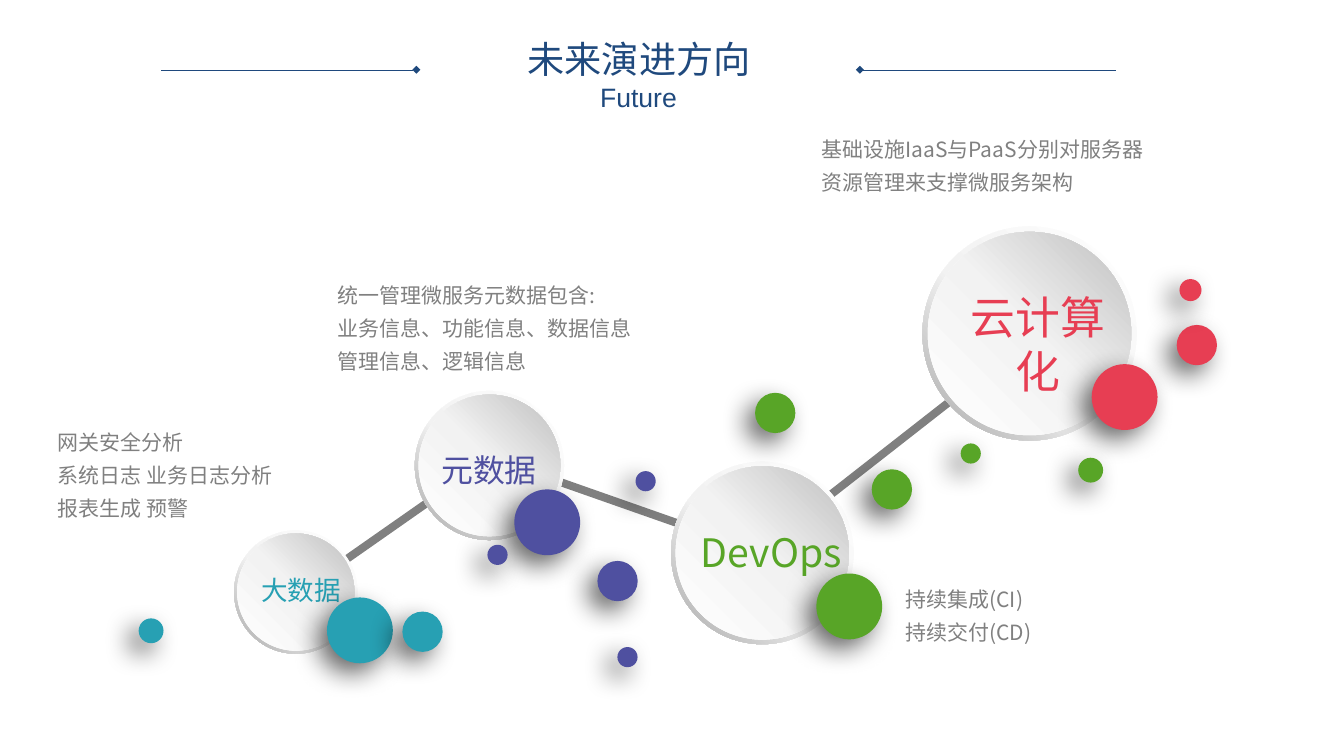
from dataclasses import dataclass

from lxml.etree import SubElement
from pptx import Presentation
from pptx.dml.color import RGBColor as RGB
from pptx.enum.shapes import MSO_CONNECTOR as CONN, MSO_SHAPE as SHAPE
from pptx.enum.text import MSO_ANCHOR as ANCHOR, MSO_AUTO_SIZE as FIT, PP_ALIGN as ALIGN
from pptx.oxml import parse_xml
from pptx.oxml.ns import nsdecls, qn
from pptx.util import Inches, Pt


@dataclass(frozen=True)
class Theme:
    navy: str = "1F497D"
    gray: str = "808080"
    teal: str = "27A0B3"
    purple: str = "4F50A0"
    green: str = "58A527"
    red: str = "E73E53"
    rim: tuple = ((0, "FFFFFF"), (55, "F2F2F2"), (100, "A6A6A6"))
    face: tuple = ((0, "FFFFFF"), (51, "F2F2F2"), (100, "BFBFBF"))
    head_font: str = "Arial"
    font: str = "Noto Sans CJK SC"
    title: float = 28
    subtitle: float = 20
    note: float = 15.8


T = Theme()
WIDTH, HEIGHT = Inches(14.06), Inches(7.91)
CELL = WIDTH / 100
AXIS, RULE_ROW, RULE_INNER, RULE_OUTER = 47.48, 5.19, 16.5, 35.52
FACE_SHARE = 0.95
BIG, MID, SMALL, TINY = 4.9, 3, 1.85, 1.5

# centre, diameter, joint, label lines, label box centre and size, type size, colour
NODES = [
    ((22.01, 44.06), 9.18, (21.83, 44.38), ["大数据"], (22.4, 43.95, 8.1, 3.13), 20, T.teal),
    ((36.42, 34.64), 11.1, (36.56, 34.07), ["元数据"], (36.38, 34.99, 8.6, 3.56), 24, T.purple),
    ((56.72, 41.15), 13.58, (56.4, 41.04), ["DevOps"], (57.4, 41.11, 12.5, 4.27), 29.5, T.green),
    ((76.6, 24.82), 15.93, (76.32, 25.46), ["云计算", "化"], (77.24, 25.6, 11.5, 8.82), 33.8, T.red),
]
NOTES = [
    (24.11, 19.99, 8.39, ["统一管理微服务元数据包含:", "业务信息、功能信息、数据信息", "管理信息、逻辑信息"]),
    (3.27, 30.94, 8.39, ["网关安全分析", "系统日志 业务日志分析", "报表生成 预警"]),
    (66.36, 42.6, 5.9, ["持续集成(CI)", "持续交付(CD)"]),
    (60.1, 9.1, 5.9, ["基础设施IaaS与PaaS分别对服务器资源管理来支撑微服务架构"]),
]
DOTS = {
    T.teal: [(26.78, 46.91, BIG), (31.44, 47.01, MID), (11.24, 46.94, SMALL)],
    T.purple: [(40.72, 38.87, BIG), (48.04, 35.81, TINY), (45.95, 43.24, MID),
               (46.69, 48.9, TINY), (37.02, 41.29, TINY)],
    T.green: [(63.19, 45.13, BIG), (66.36, 36.42, MID), (81.15, 34.99, SMALL),
              (72.23, 33.75, TINY), (57.68, 30.73, MID)],
    T.red: [(83.68, 29.55, BIG), (89.05, 25.68, MID), (88.58, 21.59, 1.64)],
}


def cells(*counts):
    return [round(n * CELL) for n in counts]


def centred(x, y, w, h):
    return cells(x - w / 2, y - h / 2, w, h)


def place(sp, x, y, w, h):
    sp.left, sp.top, sp.width, sp.height = cells(x, y, w, h)


def write(sp, lines, size, color, font, align, anchor, wrap=True,
          spacing=None, before=0, inset=None):
    tf = sp.text_frame
    tf.auto_size, tf.word_wrap, tf.vertical_anchor = FIT.NONE, wrap, anchor
    if inset:
        tf.margin_left, tf.margin_top = tf.margin_right, tf.margin_bottom = cells(*inset)
    for i, line in enumerate(lines):
        p = tf.add_paragraph() if i else tf.paragraphs[0]
        p.alignment, p.line_spacing, p.space_before = align, spacing, Pt(before)
        pPr = p._p.get_or_add_pPr()
        pPr.set("marL", "0")
        pPr.set("indent", "0")
        SubElement(pPr, qn("a:buNone"))
        r = p.add_run()
        r.text = line
        r.font.size, r.font.name, r.font.bold = Pt(size), font, False
        r.font.color.rgb = RGB.from_string(color)
        ea = SubElement(r._r.get_or_add_rPr(), qn("a:ea"))
        ea.set("typeface", T.font)


def add_line(s, start, end, color, width, diamond=False):
    line = s.shapes.add_connector(CONN.STRAIGHT, *cells(*start, *end))
    line.line.color.rgb = RGB.from_string(color)
    line.line.width = Pt(width)
    if diamond:
        SubElement(line.line._get_or_add_ln(), qn("a:headEnd")).set("type", "diamond")
    SubElement(line._element.spPr, qn("a:effectLst"))


def add_round(shapes, kind, x, y, size):
    sp = shapes.add_shape(kind, *centred(x, y, size, size))
    sp.line.fill.background()
    sp.shadow.inherit = False
    return sp


def shade(sp, stops, angle):
    marks = "".join(f'<a:gs pos="{pos * 1000}"><a:srgbClr val="{color}"/></a:gs>'
                    for pos, color in stops)
    grad = parse_xml(f'<a:gradFill {nsdecls("a")} rotWithShape="1"><a:gsLst>{marks}</a:gsLst>'
                     f'<a:lin ang="{angle * 60000}" scaled="0"/></a:gradFill>')
    sp._element.spPr.find(qn("a:prstGeom")).addnext(grad)


def add_node(s, centre, size, lines, box, type_size, color):
    shapes = s.shapes.add_group_shape().shapes
    rim = add_round(shapes, SHAPE.DONUT, *centre, size)
    rim.adjustments[0] = 0.049
    shade(rim, T.rim, 135)
    shade(add_round(shapes, SHAPE.OVAL, *centre, size * FACE_SHARE), T.face, 315)
    label = shapes.add_textbox(*centred(*box))
    write(label, lines, type_size, color, T.font, ALIGN.CENTER, ANCHOR.TOP, wrap=False)


def add_dot(s, x, y, size, color):
    sp = add_round(s.shapes, SHAPE.OVAL, x, y, size)
    sp.fill.solid()
    sp.fill.fore_color.rgb = RGB.from_string(color)
    sp._element.spPr.find(qn("a:effectLst")).append(parse_xml(
        f'<a:outerShdw {nsdecls("a")} blurRad="{Pt(20)}" dist="{Pt(10)}" dir="8100000" '
        'rotWithShape="0"><a:srgbClr val="000000"><a:alpha val="60000"/></a:srgbClr>'
        '</a:outerShdw>'))


def add_heading(s):
    for side in (-1, 1):
        add_line(s, (AXIS + side * RULE_INNER, RULE_ROW), (AXIS + side * RULE_OUTER, RULE_ROW),
                 T.navy, 0.25, diamond=True)
    style = (T.navy, T.head_font, ALIGN.CENTER, ANCHOR.MIDDLE, True, 0.9, 10)
    title = s.shapes.title
    place(title, 25.75, 2.92, 43.6, 3.34)
    write(title, ["未来演进方向"], T.title, *style)
    subtitle = s.shapes.add_textbox(*cells(29.16, 5.69, 36.7, 3.34))
    write(subtitle, ["Future"], T.subtitle, *style)


def add_notes(s):
    bodies = [ph for ph in s.placeholders if ph.placeholder_format.idx]
    for body, (x, y, h, lines) in zip(bodies, NOTES):
        place(body, x, y, 26.74, h)
        write(body, lines, T.note, T.gray, T.font, ALIGN.LEFT, ANCHOR.TOP,
              spacing=1.3, inset=(1, 0.5))


def main():
    prs = Presentation()
    prs.slide_width, prs.slide_height = WIDTH, HEIGHT
    s = prs.slides.add_slide(prs.slide_layouts.get_by_name("Comparison"))
    add_heading(s)
    add_notes(s)
    joints = [node[2] for node in NODES]
    for start, end in zip(joints, joints[1:]):
        add_line(s, start, end, T.gray, 6)
    for centre, size, _, *label in NODES:
        add_node(s, centre, size, *label)
    for color, dots in DOTS.items():
        for dot in dots:
            add_dot(s, *dot, color)
    prs.save("out.pptx")


if __name__ == "__main__":
    main()
